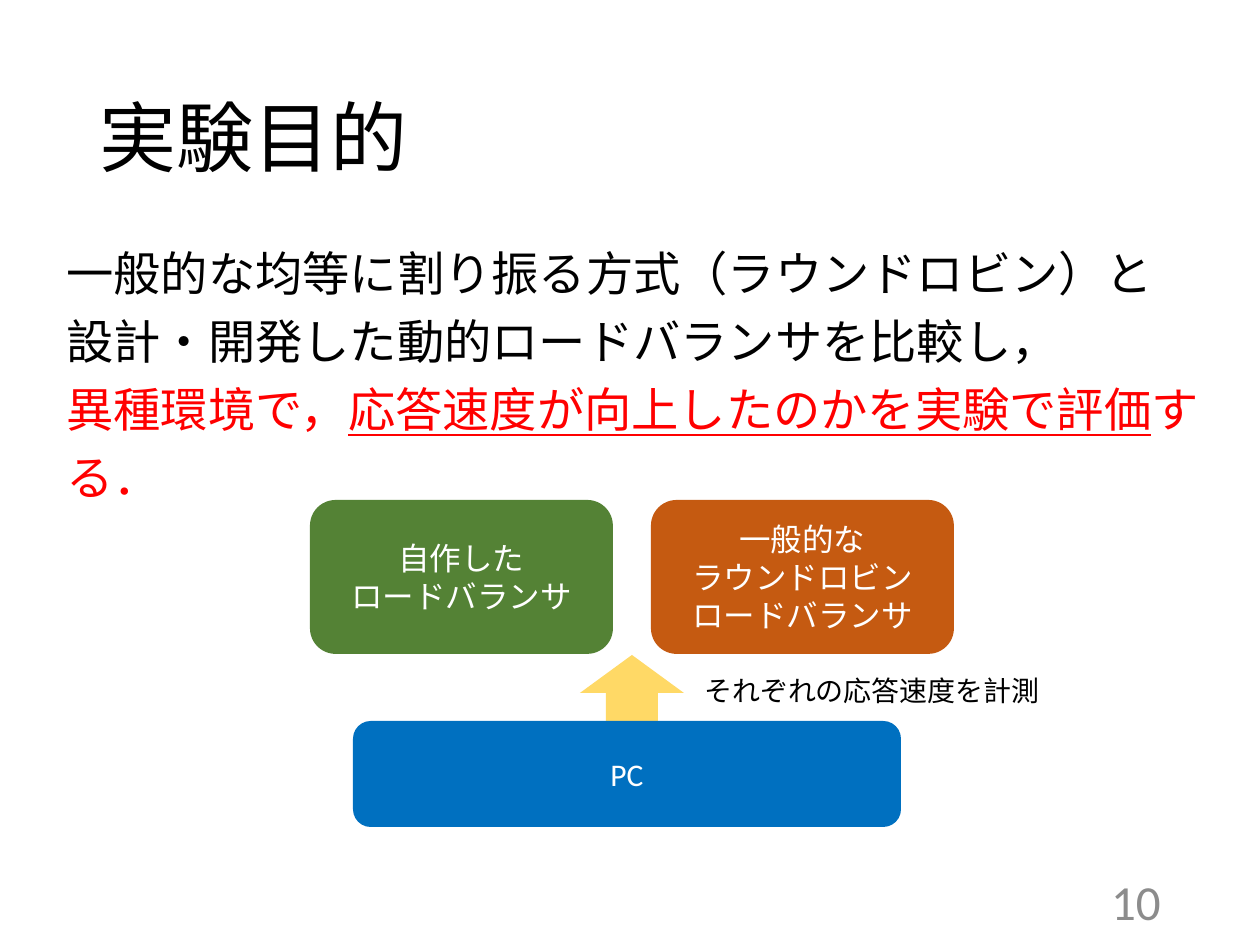
"""Build the slide that states the purpose of the load balancer experiment."""
from pptx import Presentation
from pptx import util as u
from pptx.dml.color import RGBColor
from pptx.enum import shapes, text

SCALE = 914400 // 126
FONT = "Calibri"
COLORS = {
    "black": "000000", "white": "FFFFFF", "red": "FF0000", "gray": "8C8C8C",
    "green": "548235", "orange": "C55A11", "blue": "0070C0", "yellow": "FFD966",
}


def color(name):
    return RGBColor.from_string(COLORS[name])


def box(*pixels):
    return [u.Emu(value * SCALE) for value in pixels]


def format_paragraph(paragraph, size, color_name, align):
    paragraph.alignment = align
    paragraph.font.name = FONT
    paragraph.font.size = u.Pt(size)
    paragraph.font.color.rgb = color(color_name)


def write(shape, content, size, color_name="black", align=text.PP_ALIGN.LEFT,
          anchor=text.MSO_ANCHOR.MIDDLE):
    frame = shape.text_frame
    frame.word_wrap = True
    frame.vertical_anchor = anchor
    frame.text = content
    format_paragraph(frame.paragraphs[0], size, color_name, align)
    return frame.paragraphs[0]


def add_title(slide, content):
    title = slide.shapes.title
    title.left, title.top, title.width, title.height = box(87, 50, 1086, 183)
    write(title, content, 44).line_spacing = 0.9


def add_text(slide, bounds, content, size, **style):
    return write(slide.shapes.add_textbox(*box(*bounds)), content, size, **style)


def add_purpose(slide):
    paragraph = add_text(slide, (54, 227, 1157, 233),
                         "一般的な均等に割り振る方式（ラウンドロビン）と\v"
                         "設計・開発した動的ロードバランサを比較し，\v",
                         27, anchor=text.MSO_ANCHOR.TOP)
    paragraph.line_spacing = 1.2
    paragraph.space_before = u.Pt(10)
    for content, underlined in (("異種環境で，", False),
                                ("応答速度が向上したのかを実験で評価", True),
                                ("する．", False)):
        run = paragraph.add_run()
        run.text = content
        run.font.color.rgb = color("red")
        run.font.underline = underlined


def add_block(slide, kind, bounds, fill, content=""):
    shape = slide.shapes.add_shape(kind, *box(*bounds))
    shape.shadow.inherit = False
    shape.fill.solid()
    shape.fill.fore_color.rgb = color(fill)
    shape.line.fill.background()
    if content:
        write(shape, content, 18, "white", text.PP_ALIGN.CENTER)


def main():
    presentation = Presentation()
    presentation.slide_width, presentation.slide_height = box(1260, 945)
    slide = presentation.slides.add_slide(presentation.slide_layouts[5])
    add_title(slide, "実験目的")
    add_purpose(slide)
    add_text(slide, (890, 876, 283, 50), "10", 28, color_name="gray",
             align=text.PP_ALIGN.RIGHT)
    rounded = shapes.MSO_SHAPE.ROUNDED_RECTANGLE
    add_block(slide, shapes.MSO_SHAPE.UP_ARROW, (580, 655, 104, 76), "yellow")
    add_block(slide, rounded, (310, 500, 303, 154), "green",
              "自作した\vロードバランサ")
    add_block(slide, rounded, (651, 500, 303, 154), "orange",
              "一般的な\vラウンドロビン\vロードバランサ")
    add_block(slide, rounded, (353, 721, 548, 106), "blue", "PC")
    add_text(slide, (692, 667, 430, 50), "それぞれの応答速度を計測", 16,
             anchor=text.MSO_ANCHOR.TOP)
    presentation.save("out.pptx")


main()
